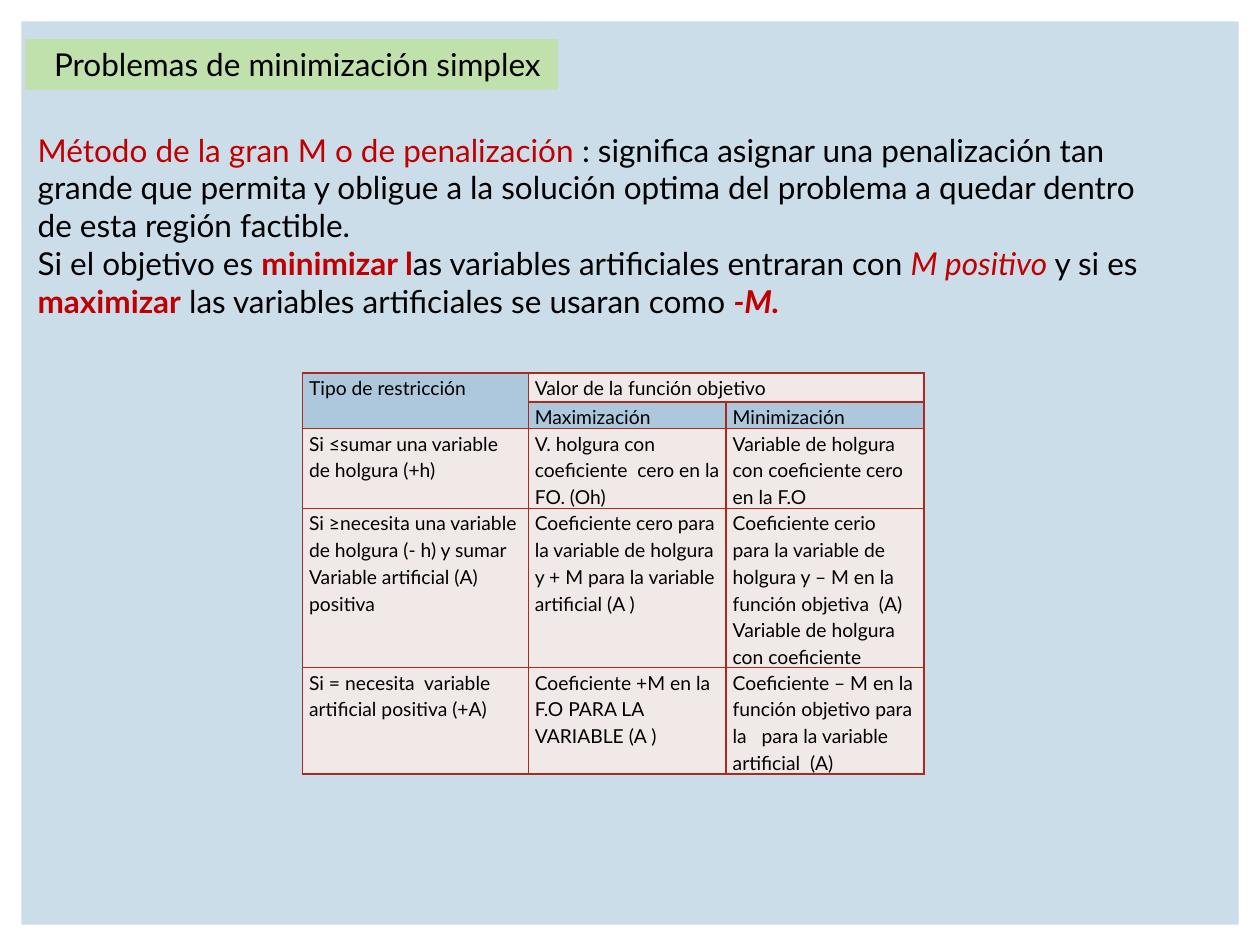
"""Build a slide on the big M method for simplex minimization problems."""
from dataclasses import dataclass

from lxml.etree import SubElement
from pptx import Presentation
from pptx.dml.color import RGBColor
from pptx.enum.shapes import MSO_SHAPE
from pptx.enum.text import MSO_ANCHOR, PP_ALIGN
from pptx.oxml.ns import qn
from pptx.util import Cm, Pt


@dataclass(frozen=True)
class Theme:
    font: str = "Lato"
    body: int = 18
    cell: int = 11
    ink: str = "000000"
    accent: str = "C00000"
    panel: str = "CCDDEA"
    title: str = "C0E1AB"
    header: str = "ADC8DD"
    row: str = "F1E8E8"
    border: str = "AA2B1E"


@dataclass(frozen=True)
class Box:
    left: float
    top: float
    width: float
    height: float

    def lengths(self) -> tuple:
        return Cm(self.left), Cm(self.top), Cm(self.width), Cm(self.height)


@dataclass(frozen=True)
class Span:
    text: str
    accent: bool = False
    bold: bool = False
    italic: bool = False


THEME = Theme()
PANEL = Box(0.43, 0.43, 24.54, 18.21)
TITLE = Box(0.51, 0.79, 10.74, 1.02)
BODY = Box(0.51, 2.51, 23.19, 4.11)
TABLE = Box(6.1, 7.52, 12.53, 8.07)
COL_WIDTHS = (4.55, 3.99, 3.99)
ROW_HEIGHTS = (0.58, 0.54, 1.6, 3.21, 2.14)
HEADER_CELLS = {(0, 0), (1, 0), (1, 1), (1, 2)}

PARAGRAPHS = (
    (
        Span("Método de la gran M o de penalización ", accent=True),
        Span(": significa asignar una penalización tan grande que permita y obligue a la "
             "solución optima del problema a quedar dentro de esta región factible."),
    ),
    (
        Span("Si el objetivo es "),
        Span("minimizar l", accent=True, bold=True),
        Span("as variables artificiales entraran con "),
        Span("M positivo ", accent=True, italic=True),
        Span("y si es "),
        Span("maximizar", accent=True, bold=True),
        Span(" las variables artificiales se usaran como "),
        Span("-M.", accent=True, bold=True, italic=True),
    ),
)

ROWS = (
    ("Tipo de restricción", "Valor de la función objetivo", ""),
    ("", "Maximización", "Minimización"),
    ("Si ≤sumar una variable de holgura (+h)",
     "V. holgura con coeficiente  cero en la FO. (Oh)",
     "Variable de holgura con coeficiente cero en la F.O"),
    ("Si ≥necesita una variable de holgura (- h) y sumar Variable artificial (A) positiva",
     "Coeficiente cero para la variable de holgura y + M para la variable artificial (A )",
     "Coeficiente cerio para la variable de holgura y – M en la función objetiva  (A) "
     "Variable de holgura con coeficiente"),
    ("Si = necesita  variable artificial positiva (+A)",
     "Coeficiente +M en la F.O PARA LA VARIABLE (A )",
     "Coeficiente – M en la función objetivo para la   para la variable artificial  (A)"),
)


def style_font(font, size: int, color: str) -> None:
    font.name = THEME.font
    font.size = Pt(size)
    font.color.rgb = RGBColor.from_string(color)


def add_panel(s, box: Box, color: str):
    sp = s.shapes.add_shape(MSO_SHAPE.RECTANGLE, *box.lengths())
    sp.shadow.inherit = False
    sp.fill.solid()
    sp.fill.fore_color.rgb = RGBColor.from_string(color)
    sp.line.fill.background()
    return sp


def add_title(s, text: str) -> None:
    tf = add_panel(s, TITLE, THEME.title).text_frame
    tf.word_wrap = False
    tf.vertical_anchor = MSO_ANCHOR.TOP
    tf.margin_left = Cm(0.58)
    tf.text = text
    p = tf.paragraphs[0]
    p.alignment = PP_ALIGN.LEFT
    style_font(p.runs[0].font, THEME.body, THEME.ink)


def add_body(s) -> None:
    tf = s.shapes.add_textbox(*BODY.lengths()).text_frame
    tf.word_wrap = True
    for i, spans in enumerate(PARAGRAPHS):
        p = tf.add_paragraph() if i else tf.paragraphs[0]
        for span in spans:
            r = p.add_run()
            r.text = span.text
            style_font(r.font, THEME.body, THEME.accent if span.accent else THEME.ink)
            r.font.bold = span.bold
            r.font.italic = span.italic


def add_borders(cell) -> None:
    tc_pr = cell._tc.get_or_add_tcPr()
    for side in ("a:lnL", "a:lnR", "a:lnT", "a:lnB"):
        ln = SubElement(tc_pr, qn(side), w=str(Pt(1)))
        SubElement(SubElement(ln, qn("a:solidFill")), qn("a:srgbClr"), val=THEME.border)


def format_cell(cell, text: str, color: str) -> None:
    cell.margin_left = cell.margin_right = Cm(0.13)
    cell.margin_top = cell.margin_bottom = 0
    add_borders(cell)
    cell.fill.solid()
    cell.fill.fore_color.rgb = RGBColor.from_string(color)
    cell.text_frame.text = text
    p = cell.text_frame.paragraphs[0]
    p.line_spacing = 1.15
    p.space_after = Pt(10)
    style_font(p.font, THEME.cell, THEME.ink)
    for r in p.runs:
        style_font(r.font, THEME.cell, THEME.ink)


def add_rules_table(s) -> None:
    table = s.shapes.add_table(len(ROWS), len(COL_WIDTHS), *TABLE.lengths()).table
    table.first_row = table.horz_banding = False
    for col, width in zip(table.columns, COL_WIDTHS):
        col.width = Cm(width)
    for row, height in zip(table.rows, ROW_HEIGHTS):
        row.height = Cm(height)
    for i, texts in enumerate(ROWS):
        for j, text in enumerate(texts):
            color = THEME.header if (i, j) in HEADER_CELLS else THEME.row
            format_cell(table.cell(i, j), text, color)
    table.cell(0, 0).merge(table.cell(1, 0))
    table.cell(0, 1).merge(table.cell(0, 2))


def main() -> None:
    prs = Presentation()
    prs.slide_width, prs.slide_height = Cm(25.4), Cm(19.05)
    s = prs.slides.add_slide(prs.slide_layouts[6])
    add_panel(s, PANEL, THEME.panel)
    add_title(s, "Problemas de minimización simplex")
    add_body(s)
    add_rules_table(s)
    prs.save("out.pptx")


if __name__ == "__main__":
    main()
